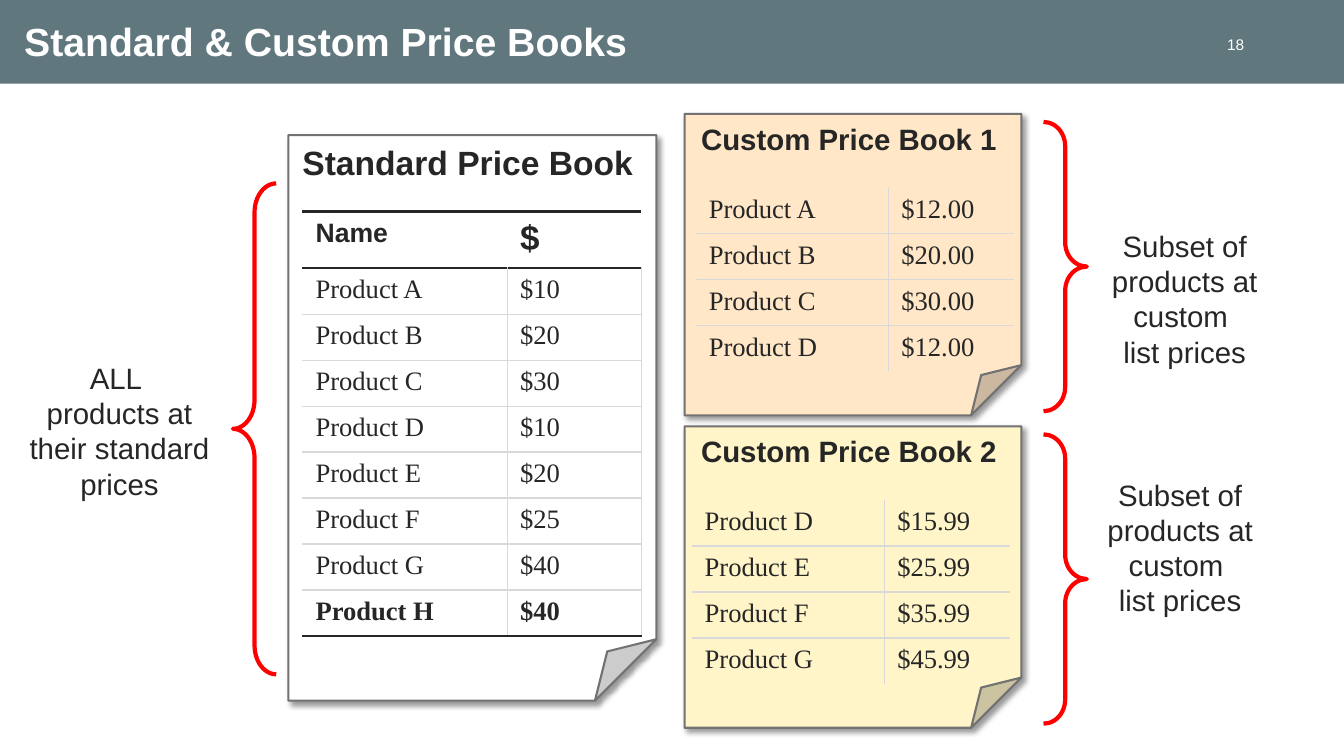
import dataclasses

import pptx
import pptx.dml.color
import pptx.enum.shapes
import pptx.enum.text
import pptx.oxml
import pptx.oxml.ns
import pptx.util
from pptx.util import Inches

ALIGN = pptx.enum.text.PP_ALIGN
ANCHOR = pptx.enum.text.MSO_ANCHOR
SHAPE = pptx.enum.shapes.MSO_SHAPE
NAMESPACE = pptx.oxml.ns.nsdecls("a")


@dataclasses.dataclass(frozen=True)
class Theme:
    header: str = "60777E"
    white: str = "FFFFFF"
    ink: str = "262626"
    outline: str = "727272"
    grid: str = "D9D9D9"
    brace: str = "FF0000"
    peach: str = "FFE7C8"
    yellow: str = "FFF5C9"
    sans: str = "Arial"
    serif: str = "Times New Roman"
    title_size: int = 28
    standard_size: int = 24
    custom_size: int = 21
    label_size: int = 21
    cell_size: int = 19
    dollar_size: int = 25
    number_size: int = 11


THEME = Theme()


def rgb(color):
    return pptx.dml.color.RGBColor.from_string(color)


def write_text(frame, text, *, size, color=THEME.ink, font=THEME.sans, bold=False,
               align=ALIGN.LEFT, anchor=ANCHOR.TOP, margins=(0.1, 0.05, 0.1, 0.05),
               line_spacing=None):
    frame.word_wrap = True
    frame.vertical_anchor = anchor
    (frame.margin_left, frame.margin_top,
     frame.margin_right, frame.margin_bottom) = map(Inches, margins)
    paragraph = frame.paragraphs[0]
    paragraph.text = text
    paragraph.alignment = align
    if line_spacing:
        paragraph.line_spacing = line_spacing
    for run in paragraph.runs:
        run.font.size = pptx.util.Pt(size)
        run.font.name = font
        run.font.bold = bold
        run.font.color.rgb = rgb(color)


def add_shape(slide, kind, box, fill=None, line=None, line_width=1.5):
    shape = slide.shapes.add_shape(kind, *map(Inches, box))
    shape.shadow.inherit = False
    if fill:
        shape.fill.solid()
        shape.fill.fore_color.rgb = rgb(fill)
    else:
        shape.fill.background()
    if line:
        shape.line.color.rgb = rgb(line)
        shape.line.width = pptx.util.Pt(line_width)
    else:
        shape.line.fill.background()
    return shape


def add_drop_shadow(shape):
    effects = shape.element.spPr.find(pptx.oxml.ns.qn("a:effectLst"))
    effects.append(pptx.oxml.parse_xml(
        f'<a:outerShdw {NAMESPACE} blurRad="50800" dist="38100" dir="2700000">'
        '<a:srgbClr val="000000"><a:alpha val="40000"/></a:srgbClr></a:outerShdw>'))


def set_borders(cell, borders):
    """Set left, right, top and bottom borders, each a (color, points) pair or None."""
    properties = cell._tc.get_or_add_tcPr()
    for index, (side, border) in enumerate(zip("LRTB", borders)):
        color, points = border or (None, 0)
        paint = (f'<a:solidFill><a:srgbClr val="{color}"/></a:solidFill>'
                 if border else "<a:noFill/>")
        properties.insert(index, pptx.oxml.parse_xml(
            f'<a:ln{side} {NAMESPACE} w="{pptx.util.Pt(points)}">{paint}</a:ln{side}>'))


def cell_borders(row, column, last_row, has_header):
    grid, rule = (THEME.grid, 1), (THEME.ink, 2)
    if has_header and row == 0:
        return None, None, rule, rule
    left = grid if column else None
    right = grid if has_header or not column else None
    top = rule if has_header and row == 1 else grid if row else None
    bottom = grid if row < last_row else rule if has_header else None
    return left, right, top, bottom


def add_price_table(slide, left, top, widths, heights, rows, has_header=False):
    table = slide.shapes.add_table(
        len(rows), len(widths),
        *map(Inches, (left, top, sum(widths), sum(heights)))).table
    table.first_row = has_header
    table.horz_banding = False
    for column, width in zip(table.columns, widths):
        column.width = Inches(width)
    last_row = len(rows) - 1
    for row, values in enumerate(rows):
        table.rows[row].height = Inches(heights[row])
        is_header = has_header and row == 0
        for column, value in enumerate(values):
            cell = table.cell(row, column)
            write_text(cell.text_frame, value,
                       size=THEME.dollar_size if value == "$" else THEME.cell_size,
                       font=THEME.sans if is_header else THEME.serif,
                       bold=is_header or (has_header and row == last_row))
            cell.margin_left = cell.margin_right = Inches(0.13)
            cell.margin_top = cell.margin_bottom = Inches(0.07)
            if has_header:
                cell.fill.solid()
                cell.fill.fore_color.rgb = rgb(THEME.white)
            else:
                cell.fill.background()
            set_borders(cell, cell_borders(row, column, last_row, has_header))


def add_page(slide, box, heading, size, fill):
    page = add_shape(slide, SHAPE.FOLDED_CORNER, box, fill, THEME.outline)
    add_drop_shadow(page)
    write_text(page.text_frame, heading, size=size, bold=True, align=ALIGN.CENTER,
               margins=(0.13, 0.07, 0.13, 0.07))


def add_standard_book(slide, box, rows):
    left, top = box[:2]
    add_page(slide, box, "Standard Price Book ", THEME.standard_size, THEME.white)
    heights = [0.56] + [0.44] * (len(rows) - 1)
    add_price_table(slide, left + 0.14, top + 0.76, (2.03, 1.33), heights, rows,
                    has_header=True)


def add_custom_book(slide, box, heading, fill, inset, rows):
    left, top = box[:2]
    add_page(slide, box, heading, THEME.custom_size, fill)
    add_price_table(slide, left + inset, top + 0.73, (1.91, 1.25),
                    [0.45] * len(rows), rows)


def add_brace(slide, kind, box, curve):
    brace = add_shape(slide, kind, box, line=THEME.brace, line_width=3)
    brace.adjustments[0] = curve
    brace.adjustments[1] = 0.5


def add_label(slide, box, text):
    label = slide.shapes.add_textbox(*map(Inches, box))
    write_text(label.text_frame, text, size=THEME.label_size,
               align=ALIGN.CENTER, anchor=ANCHOR.MIDDLE)


def add_header(slide, box, text, number):
    left, top, width, height = box
    band = add_shape(slide, SHAPE.RECTANGLE, box, THEME.header)
    title = slide.shapes.title
    title.element.addprevious(band.element)
    title.left, title.top = Inches(left + 0.14), Inches(top)
    title.width, title.height = Inches(11.74), Inches(height)
    write_text(title.text_frame, text, size=THEME.title_size, color=THEME.white,
               bold=True, anchor=ANCHOR.MIDDLE, margins=(0.1, 0.1, 0.1, 0.05),
               line_spacing=0.85)
    number_box = slide.shapes.add_textbox(
        *map(Inches, (left + width - 1.42, top + 0.33, 0.53, 0.22)))
    write_text(number_box.text_frame, number, size=THEME.number_size,
               color=THEME.white, align=ALIGN.RIGHT, anchor=ANCHOR.MIDDLE,
               margins=(0.1, 0, 0.1, 0))


def main():
    presentation = pptx.Presentation()
    presentation.slide_width, presentation.slide_height = Inches(13.33), Inches(7.5)
    slide = presentation.slides.add_slide(presentation.slide_layouts[5])
    add_header(slide, (0, 0, 13.33, 0.83), "Standard & Custom Price Books", "18")

    prices = ("$10", "$20", "$30", "$10", "$20", "$25", "$40", "$40")
    products = [f"Product {letter}" for letter in "ABCDEFGH"]
    add_standard_book(slide, (2.86, 1.34, 3.65, 5.61),
                      [("Name", "$"), *zip(products, prices)])
    add_brace(slide, SHAPE.LEFT_BRACE, (2.31, 1.82, 0.43, 4.87), 0.67)
    add_label(slide, (0.13, 3.5, 2.11, 1.54), "ALL \nproducts at their standard prices")

    custom_books = (
        (1.13, "Custom Price Book 1 ", THEME.peach, 0.11, products[:4],
         ("$12.00", "$20.00", "$30.00", "$12.00"), (10.54, 2.19, 2.42, 1.54)),
        (4.23, "Custom Price Book 2 ", THEME.yellow, 0.07, products[3:7],
         ("$15.99", "$25.99", "$35.99", "$45.99"), (10.54, 4.66, 2.33, 1.54)),
    )
    for top, heading, fill, inset, names, custom_prices, label_box in custom_books:
        add_custom_book(slide, (6.79, top, 3.34, 2.99), heading, fill, inset,
                        list(zip(names, custom_prices)))
        add_brace(slide, SHAPE.RIGHT_BRACE, (10.35, top + 0.08, 0.43, 2.87), 0.56)
        add_label(slide, label_box, "Subset of products at custom \nlist prices")
    presentation.save("out.pptx")


if __name__ == "__main__":
    main()
